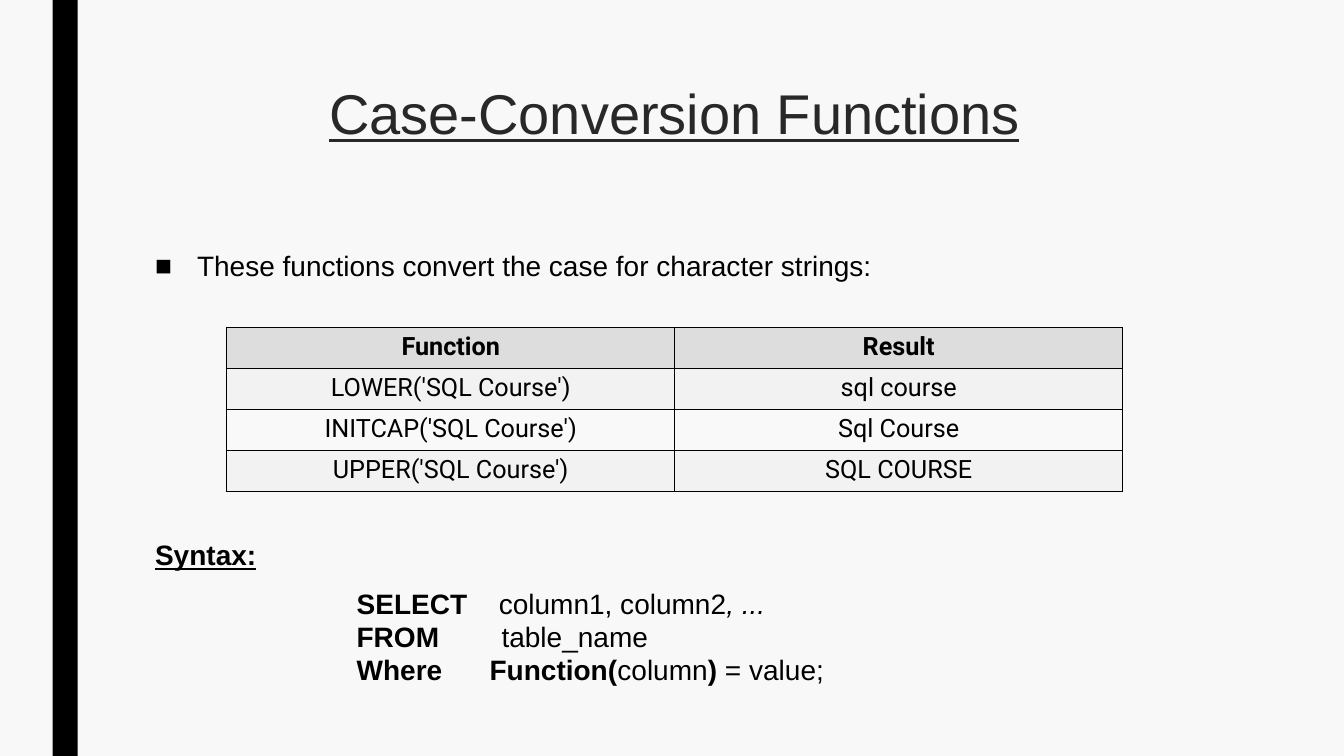
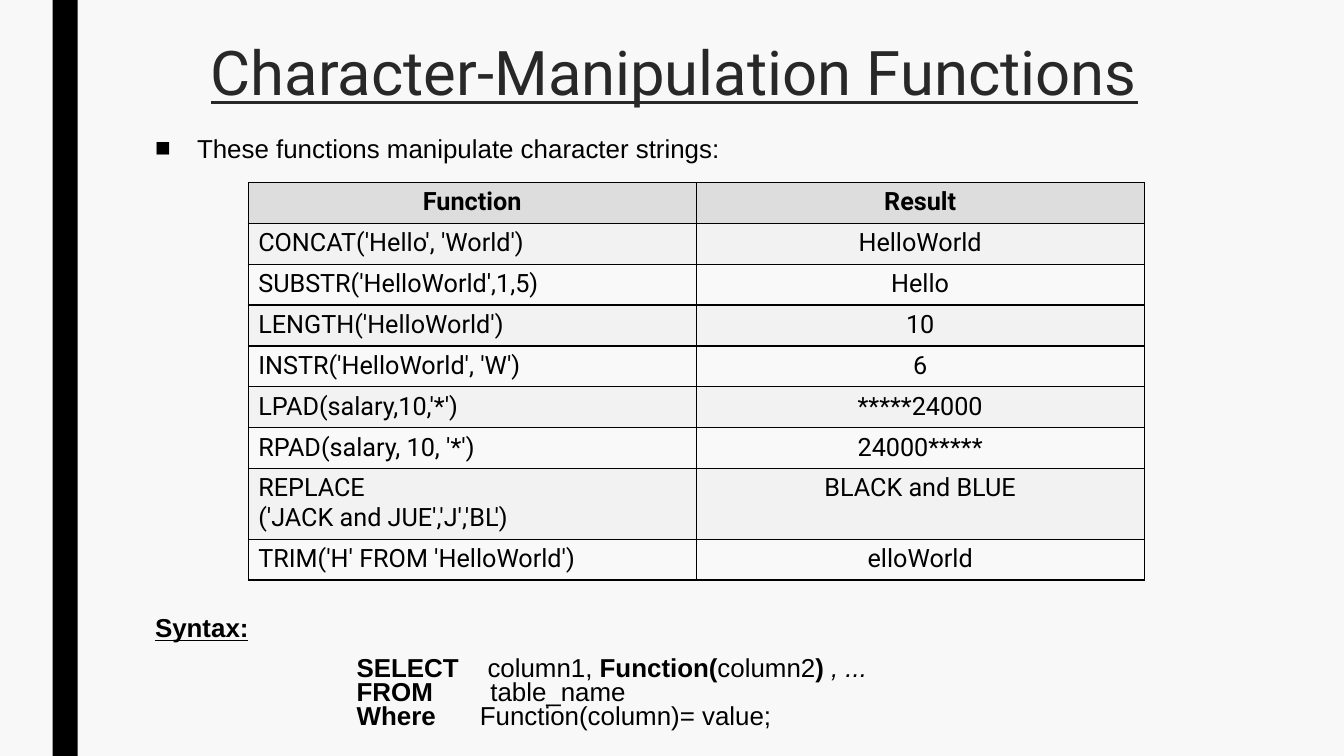
from lxml import etree
from pptx import Presentation
from pptx.dml.color import RGBColor
from pptx.enum.shapes import MSO_SHAPE
from pptx.enum.text import MSO_ANCHOR, PP_ALIGN
from pptx.oxml.ns import qn
from pptx.util import Pt

RECT = MSO_SHAPE.RECTANGLE
TOP = MSO_ANCHOR.TOP
LEFT, CENTER = PP_ALIGN.LEFT, PP_ALIGN.CENTER

COLORS = {
    "background": "F8F8F8",
    "bar": "000000",
    "title": "282829",
    "text": "000000",
    "header": "DDDDDD",
    "odd": "F2F2F2",
    "even": "F9F9F9",
    "border": "000000",
}
SLIDE_W, SLIDE_H = 960, 540
CONTENT_X, CONTENT_W = 103.7, 756
CODE_INDENT = 144
BULLET_INDENT = 30
PARAGRAPH_GAP = 12
COLUMN_W, ROW_H, TALL_ROW_H = 320, 29.2, 49.4

PLAIN = {}
BOLD = {"bold": True}
ITALIC = {"italic": True}
UNDERLINED = {"underline": True}
HEADING = {"bold": True, "underline": True}


def rgb(name):
    return RGBColor.from_string(COLORS[name])


def add_run(p, text, size, font="Arial", color="text", style=PLAIN):
    r = p.add_run()
    r.text = text
    r.font.color.rgb = rgb(color)
    values = {"name": font, "size": Pt(size), "bold": False, **style}
    for name, value in values.items():
        setattr(r.font, name, value)


def add_text_frame(s, box):
    tf = s.shapes.add_textbox(*map(Pt, box)).text_frame
    tf.word_wrap = True
    tf.vertical_anchor = TOP
    return tf


def add_base(prs):
    s = prs.slides.add_slide(prs.slide_layouts[6])
    s.background.fill.solid()
    s.background.fill.fore_color.rgb = rgb("background")
    bar = s.shapes.add_shape(RECT, Pt(37.5), Pt(0), Pt(18), Pt(SLIDE_H))
    bar.shadow.inherit = False
    bar.fill.solid()
    bar.fill.fore_color.rgb = rgb("bar")
    bar.line.fill.background()
    return s


def add_title(s, box, text, size, font):
    p = add_text_frame(s, box).paragraphs[0]
    p.alignment = CENTER
    p.line_spacing = 0.89
    add_run(p, text, size, font, "title", UNDERLINED)


def add_bullet(s, box, text, size, spacing):
    p = add_text_frame(s, box).paragraphs[0]
    p.line_spacing = spacing
    pPr = p._p.get_or_add_pPr()
    pPr.set("marL", str(Pt(BULLET_INDENT)))
    pPr.set("indent", str(-Pt(BULLET_INDENT)))
    etree.SubElement(pPr, qn("a:buFont"), typeface="Arial")
    etree.SubElement(pPr, qn("a:buChar"), char="■")
    add_run(p, text, size)


def add_syntax(s, box, lines, size, spacing):
    x, y, w, h = box
    p = add_text_frame(s, (x, y, w, 30)).paragraphs[0]
    p.line_spacing = spacing
    add_run(p, "Syntax:", size, style=HEADING)

    offset = size * 1.15 * spacing + PARAGRAPH_GAP
    code_box = (x + CODE_INDENT, y + offset, w - CODE_INDENT, h - offset)
    tf = add_text_frame(s, code_box)
    for i, (keyword, tab, runs) in enumerate(lines):
        p = tf.add_paragraph() if i else tf.paragraphs[0]
        p.line_spacing = spacing
        tabs = etree.SubElement(p._p.get_or_add_pPr(), qn("a:tabLst"))
        etree.SubElement(tabs, qn("a:tab"), pos=str(Pt(tab)), algn="l")
        add_run(p, keyword + "\t", size, style=BOLD)
        for text, style in runs:
            add_run(p, text, size, style=style)


def add_borders(cell):
    tcPr = cell._tc.get_or_add_tcPr()
    for i, side in enumerate(("lnL", "lnR", "lnT", "lnB")):
        ln = etree.Element(qn("a:" + side), w=str(Pt(1)))
        fill = etree.SubElement(ln, qn("a:solidFill"))
        etree.SubElement(fill, qn("a:srgbClr"), val=COLORS["border"])
        tcPr.insert(i, ln)


def add_function_table(s, origin, entries, first_align):
    rows = [("Function", "Result"), *entries]
    heights = [TALL_ROW_H if "\n" in row[0] else ROW_H for row in rows]
    box = (*origin, 2 * COLUMN_W, sum(heights))
    table = s.shapes.add_table(len(rows), 2, *map(Pt, box)).table
    for column in table.columns:
        column.width = Pt(COLUMN_W)
    for i, (row, height) in enumerate(zip(rows, heights)):
        table.rows[i].height = Pt(height)
        fill = "header" if i == 0 else "odd" if i % 2 else "even"
        for j, text in enumerate(row):
            cell = table.cell(i, j)
            cell.fill.solid()
            cell.fill.fore_color.rgb = rgb(fill)
            add_borders(cell)
            tf = cell.text_frame
            for k, line in enumerate(text.split("\n")):
                p = tf.add_paragraph() if k else tf.paragraphs[0]
                p.alignment = first_align if i and j == 0 else CENTER
                add_run(p, line, 18, "Roboto", style=PLAIN if i else BOLD)


def add_function_slide(prs, d):
    s = add_base(prs)
    text_format = d["size"], d["spacing"]
    add_title(s, (CONTENT_X, d["title_y"], CONTENT_W, 60), d["title"], *d["title_font"])
    add_bullet(s, (CONTENT_X, d["bullet_y"], CONTENT_W, 32), d["bullet"], *text_format)
    add_function_table(s, d["table_at"], d["entries"], d["first_align"])
    syntax_box = (CONTENT_X, d["syntax_y"], CONTENT_W, SLIDE_H - d["syntax_y"])
    add_syntax(s, syntax_box, d["syntax"], *text_format)


CASE_CONVERSION = {
    "title": "Case-Conversion Functions",
    "title_font": (40, "Arial"),
    "title_y": 58.3,
    "bullet": "These functions convert the case for character strings:",
    "bullet_y": 175,
    "size": 20,
    "spacing": 0.98,
    "table_at": (162, 234),
    "first_align": CENTER,
    "entries": [
        ("LOWER('SQL Course')", "sql course"),
        ("INITCAP('SQL Course')", "Sql Course"),
        ("UPPER('SQL Course')", "SQL COURSE"),
    ],
    "syntax_y": 381.8,
    "syntax": [
        ("SELECT", 101.5, [("column1, column2", PLAIN), (", ...", ITALIC)]),
        ("FROM", 103.5, [("table_name", PLAIN)]),
        ("Where", 95, [("Function(", BOLD), ("column", PLAIN),
                       (") ", BOLD), ("= value;", PLAIN)]),
    ],
}

CHARACTER_MANIPULATION = {
    "title": "Character-Manipulation Functions",
    "title_font": (44, "Roboto"),
    "title_y": 27.4,
    "bullet": "These functions manipulate character strings:",
    "bullet_y": 95.8,
    "size": 18.5,
    "spacing": 0.77,
    "table_at": (177.3, 130.3),
    "first_align": LEFT,
    "entries": [
        ("CONCAT('Hello', 'World')", "HelloWorld"),
        ("SUBSTR('HelloWorld',1,5)", "Hello"),
        ("LENGTH('HelloWorld')", "10"),
        ("INSTR('HelloWorld', 'W')", "6"),
        ("LPAD(salary,10,'*')", "*****24000"),
        ("RPAD(salary, 10, '*')", "24000*****"),
        ("REPLACE\n('JACK and JUE','J','BL')", "BLACK and BLUE"),
        ("TRIM('H' FROM 'HelloWorld')", "elloWorld"),
    ],
    "syntax_y": 438.5,
    "syntax": [
        ("SELECT", 93.5, [("column1, ", PLAIN), ("Function(", BOLD),
                          ("column2", PLAIN), (") ", BOLD), (", ...", ITALIC)]),
        ("FROM", 95.5, [("table_name", PLAIN)]),
        ("Where", 88, [("Function(column)= value;", PLAIN)]),
    ],
}

prs = Presentation()
prs.slide_width, prs.slide_height = Pt(SLIDE_W), Pt(SLIDE_H)
for content in (CASE_CONVERSION, CHARACTER_MANIPULATION):
    add_function_slide(prs, content)
prs.save("out.pptx")
